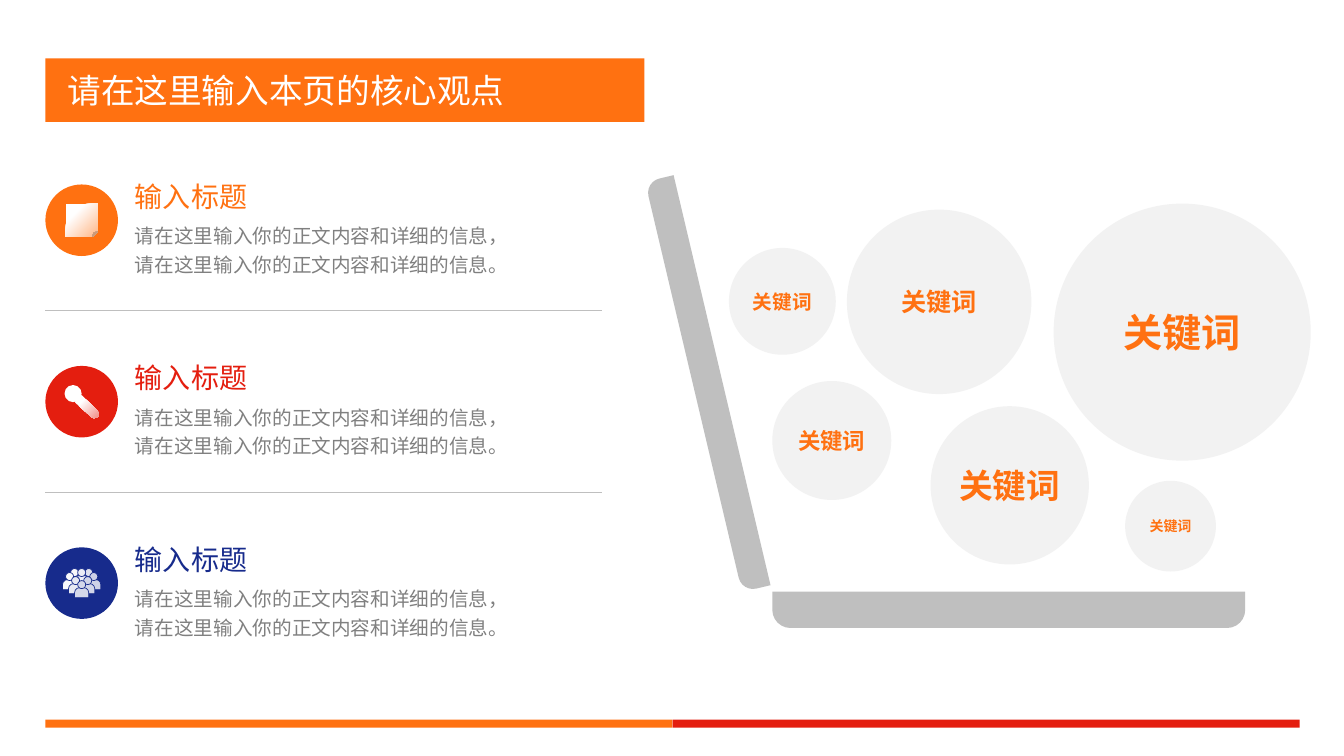
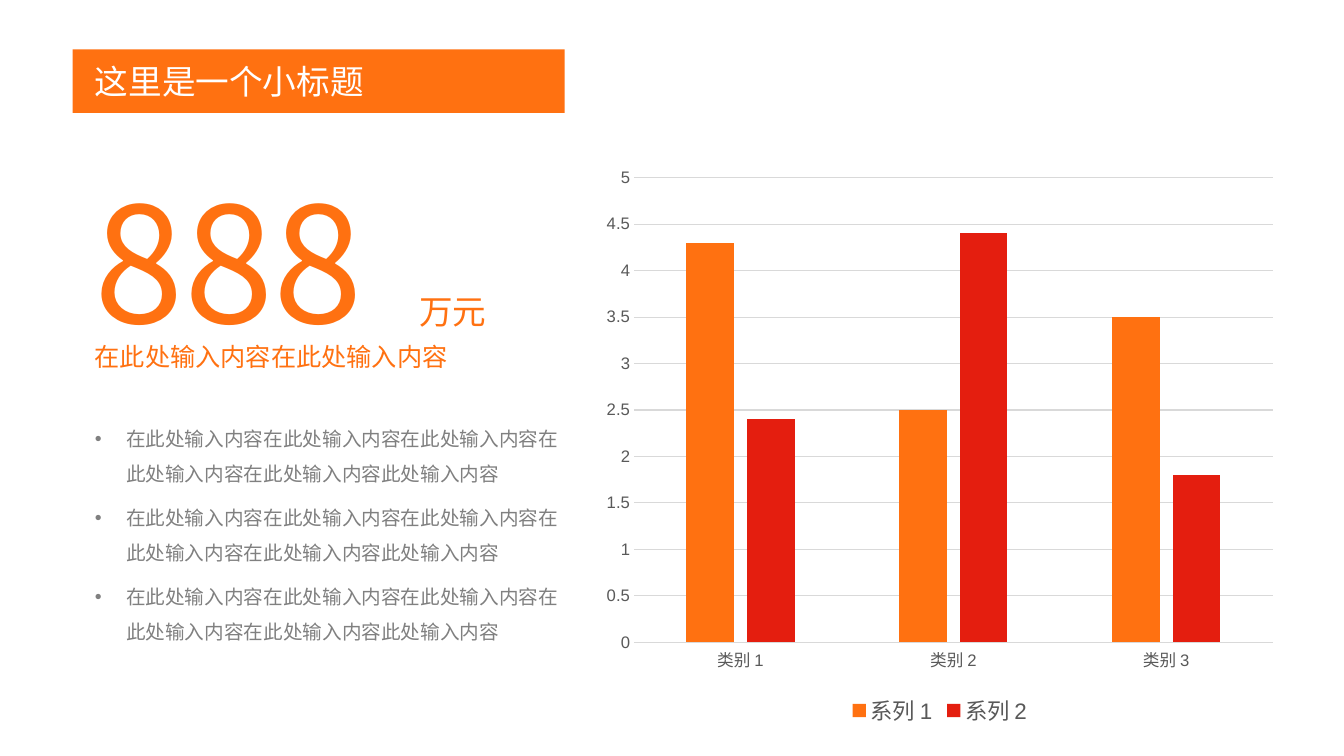
"""Build a keyword slide with three points and a figures slide with a column chart."""
from lxml.etree import SubElement
from pptx import Presentation
from pptx.chart.data import CategoryChartData
from pptx.dml.color import RGBColor
from pptx.enum.chart import XL_CHART_TYPE, XL_LEGEND_POSITION, XL_TICK_MARK
from pptx.enum.shapes import MSO_CONNECTOR, MSO_SHAPE
from pptx.enum.text import MSO_ANCHOR, MSO_AUTO_SIZE, PP_ALIGN
from pptx.oxml.ns import qn
from pptx.util import Inches, Pt

FONT = "Noto Sans CJK JP"
CHART_FONT = "Arial"
ORANGE = RGBColor(0xFF, 0x71, 0x11)
RED = RGBColor(0xE4, 0x1E, 0x0F)
NAVY = RGBColor(0x17, 0x2B, 0x8C)
WHITE = RGBColor(0xFF, 0xFF, 0xFF)
PALE = RGBColor(0xF2, 0xF2, 0xF2)
SILVER = RGBColor(0xBF, 0xBF, 0xBF)
GRID = RGBColor(0xD9, 0xD9, 0xD9)
GREY = RGBColor(0x80, 0x80, 0x80)
AXIS_TEXT = RGBColor(0x59, 0x59, 0x59)

LEFT = 0.45
ROW_TOP, ROW_PITCH = 1.73, 1.8
BAND_HEIGHT, BAND_INSET = 0.63, 0.22

POINT_HEADING = "输入标题"
POINT_TEXT = "请在这里输入你的正文内容和详细的信息，请在这里输入你的正文内容和详细的信息。"
KEYWORD = "关键词"
BUBBLES = [
    (7.66, 3.78, 1.18, 16),
    (9.23, 4.03, 1.57, 24),
    (8.4, 2.08, 1.83, 18),
    (10.45, 2.02, 2.55, 28),
    (11.16, 4.77, 0.9, 10),
    (7.23, 2.46, 1.06, 14),
]
HANDLE = [(0.29, 0.36), (0.36, 0.29), (0.52, 0.45), (0.53, 0.48), (0.52, 0.51), (0.48, 0.52), (0.46, 0.51)]
HEADS = [
    (0.29, 0.25), (0.43, 0.25), (0.36, 0.25),
    (0.24, 0.29), (0.48, 0.29),
    (0.3, 0.33), (0.42, 0.33), (0.36, 0.37),
]

BULLETS = ["在此处输入内容在此处输入内容在此处输入内容在此处输入内容在此处输入内容此处输入内容"] * 3
FIGURES = [
    ("888", 0.84, 1.56, 3.81, 2.04, 115),
    ("在此处输入内容在此处输入内容", 0.84, 3.34, 4.88, 0.4, 18),
    ("万元", 4.06, 2.84, 1.65, 0.5, 24),
]
CATEGORIES = ["类别 1", "类别 2", "类别 3"]
SERIES = [
    ("系列 1", (4.3, 2.5, 3.5), ORANGE),
    ("系列 2", (2.4, 4.4, 1.8), RED),
]


def style(para, size, color, bold=False):
    """Set the font of a whole paragraph, for Latin and East Asian text."""
    font = para.font
    font.name, font.size, font.bold = FONT, Pt(size), bold
    font.color.rgb = color
    SubElement(font._element, qn("a:ea")).set("typeface", FONT)


def place(item, left, top, width, height):
    """Move and size a placeholder."""
    item.left, item.top = Inches(left), Inches(top)
    item.width, item.height = Inches(width), Inches(height)


def add_block(page, kind, left, top, width, height, color):
    """Add a plain filled shape."""
    block = page.shapes.add_shape(kind, Inches(left), Inches(top), Inches(width), Inches(height))
    block.shadow.inherit = False
    block.fill.solid()
    block.fill.fore_color.rgb = color
    block.line.fill.background()
    return block


def add_text(page, text, left, top, width, height, size, color, spacing=None):
    """Add a text box with one paragraph."""
    box = page.shapes.add_textbox(Inches(left), Inches(top), Inches(width), Inches(height))
    box.text_frame.word_wrap = True
    para = box.text_frame.paragraphs[0]
    para.text = text
    if spacing:
        para.line_spacing = spacing
    style(para, size, color)


def set_title(page, text, left, top, width):
    """Turn the title placeholder into the orange title band."""
    title = page.shapes.title
    place(title, left, top, width, BAND_HEIGHT)
    title.fill.solid()
    title.fill.fore_color.rgb = ORANGE
    frame = title.text_frame
    frame.text = text
    frame.auto_size = MSO_AUTO_SIZE.NONE
    frame.vertical_anchor = MSO_ANCHOR.MIDDLE
    frame.margin_left = Inches(BAND_INSET)
    para = frame.paragraphs[0]
    para.alignment = PP_ALIGN.LEFT
    style(para, 24, WHITE)


def tint(color, share):
    """Mix a share of the colour into white."""
    return RGBColor(*(round(255 + (part - 255) * share) for part in color))


def shade(shape, color):
    """Fade a shape from white towards the colour, down to the right."""
    shape.fill.gradient()
    shape.fill.gradient_angle = 315
    start, end = shape.fill.gradient_stops
    start.position, start.color.rgb = 0.3, WHITE
    end.position, end.color.rgb = 1, tint(color, 0.5)


def draw_document(page, left, top, color):
    """Draw a plain sheet."""
    shade(add_block(page, MSO_SHAPE.FOLDED_CORNER, left + 0.2, top + 0.19, 0.32, 0.33, WHITE), color)


def draw_microphone(page, left, top, color):
    """Draw a microphone as a round head and a slanted handle."""
    points = [(Inches(left + x), Inches(top + y)) for x, y in HANDLE]
    builder = page.shapes.build_freeform(*points[0])
    builder.add_line_segments(points[1:])
    handle = builder.convert_to_shape()
    handle.shadow.inherit = False
    handle.line.fill.background()
    shade(handle, color)
    add_block(page, MSO_SHAPE.OVAL, left + 0.19, top + 0.19, 0.17, 0.17, WHITE)


def draw_crowd(page, left, top, color):
    """Draw a group of people, back row first."""
    for x, y in HEADS:
        parts = [
            (MSO_SHAPE.ROUND_2_SAME_RECTANGLE, x - 0.07, y + 0.03, 0.14, 0.1),
            (MSO_SHAPE.OVAL, x - 0.04, y - 0.04, 0.08, 0.08),
        ]
        for kind, dx, dy, width, height in parts:
            part = add_block(page, kind, left + dx, top + dy, width, height, tint(color, max(0, x + y - 0.5) * 0.8))
            part.line.color.rgb = color
            part.line.width = Pt(0.5)
            if kind == MSO_SHAPE.ROUND_2_SAME_RECTANGLE:
                part.adjustments[0] = 0.5


POINTS = [(ORANGE, draw_document), (RED, draw_microphone), (NAVY, draw_crowd)]


def add_points(page):
    """Add the rows of icon, heading and text with rules between them."""
    for index, (color, draw_icon) in enumerate(POINTS):
        top = ROW_TOP + index * ROW_PITCH
        add_block(page, MSO_SHAPE.OVAL, LEFT, top + 0.1, 0.72, 0.71, color)
        draw_icon(page, LEFT, top + 0.1, color)
        add_text(page, POINT_HEADING, 1.24, top, 1.4, 0.44, 20, color)
        add_text(page, POINT_TEXT, 1.24, top + 0.4, 4.02, 0.66, 14, GREY, 1.2)
        if index:
            y = Inches(top - 0.45)
            rule = page.shapes.add_connector(MSO_CONNECTOR.STRAIGHT, Inches(LEFT), y, Inches(5.97), y)
            rule.line.color.rgb = SILVER
            rule.line.width = Pt(0.25)
            SubElement(rule._element.spPr, qn("a:effectLst"))


def add_laptop(page):
    """Add the open laptop and the keyword bubbles over it."""
    for left, top, width, height, turn in [(7.66, 5.87, 4.69, 0.36, 180), (4.93, 3.66, 4.18, 0.29, 256.7)]:
        panel = add_block(page, MSO_SHAPE.ROUND_2_SAME_RECTANGLE, left, top, width, height, SILVER)
        panel.adjustments[0] = 0.5
        panel.rotation = turn
    for left, top, size, points in BUBBLES:
        bubble = add_block(page, MSO_SHAPE.OVAL, left, top, size, size, PALE)
        frame = bubble.text_frame
        frame.margin_left = frame.margin_right = frame.margin_top = frame.margin_bottom = 0
        frame.vertical_anchor = MSO_ANCHOR.MIDDLE
        para = frame.paragraphs[0]
        para.text = KEYWORD
        para.alignment = PP_ALIGN.CENTER
        style(para, points, ORANGE, bold=True)


def add_bullets(page):
    """Fill the body placeholder with the bullet list."""
    body = page.placeholders[1]
    place(body, 0.84, 4.07, 4.88, 2.36)
    frame = body.text_frame
    frame.text = "\n".join(BULLETS)
    frame.auto_size = MSO_AUTO_SIZE.NONE
    frame.vertical_anchor = MSO_ANCHOR.TOP
    for index, para in enumerate(frame.paragraphs):
        para.line_spacing = 1.5
        para.space_before = Pt(6 if index else 0)
        properties = para._p.get_or_add_pPr()
        properties.set("marL", str(Inches(0.31)))
        properties.set("indent", str(Inches(-0.31)))
        SubElement(properties, qn("a:buChar")).set("char", "•")
        style(para, 14, GREY)


def set_chart_font(font, size):
    """Set the font of a chart part."""
    font.name, font.size = CHART_FONT, Pt(size)
    font.color.rgb = AXIS_TEXT


def add_columns(page):
    """Add the clustered column chart."""
    data = CategoryChartData()
    data.categories = CATEGORIES
    for name, values, _ in SERIES:
        data.add_series(name, values)
    chart = page.shapes.add_chart(
        XL_CHART_TYPE.COLUMN_CLUSTERED, Inches(5.88), Inches(1.56), Inches(6.88), Inches(5.69), data
    ).chart
    chart.has_title = False
    set_chart_font(chart.font, 10)
    chart.has_legend = True
    chart.legend.position = XL_LEGEND_POSITION.BOTTOM
    chart.legend.include_in_layout = False
    set_chart_font(chart.legend.font, 16)
    plot = chart.plots[0]
    plot.gap_width, plot.overlap, plot.vary_by_categories = 219, -27, False
    for series, (_, _, color) in zip(plot.series, SERIES):
        series.format.fill.solid()
        series.format.fill.fore_color.rgb = color
    for axis in (chart.category_axis, chart.value_axis):
        axis.major_tick_mark = axis.minor_tick_mark = XL_TICK_MARK.NONE
        set_chart_font(axis.tick_labels.font, 11.9)
    chart.value_axis.format.line.fill.background()
    chart.value_axis.maximum_scale, chart.value_axis.minimum_scale = 5, 0
    chart.value_axis.major_unit = 0.5
    for line in (chart.category_axis.format.line, chart.value_axis.major_gridlines.format.line):
        line.color.rgb = GRID
        line.width = Pt(0.75)


def build_keywords(deck):
    """Build the slide of points and keywords."""
    page = deck.slides.add_slide(deck.slide_layouts[5])
    set_title(page, "请在这里输入本页的核心观点", LEFT, 0.58, 5.94)
    add_laptop(page)
    add_points(page)
    for index, color in enumerate((ORANGE, RED)):
        add_block(page, MSO_SHAPE.RECTANGLE, LEFT + index * 6.22, 7.14, 6.22, 0.08, color)


def build_figures(deck):
    """Build the slide of figures and columns."""
    page = deck.slides.add_slide(deck.slide_layouts[1])
    set_title(page, "这里是一个小标题", 0.72, 0.49, 4.88)
    add_bullets(page)
    for *figure, size in FIGURES:
        add_text(page, *figure, size, ORANGE)
    add_columns(page)


def main():
    """Build and save the deck."""
    deck = Presentation()
    deck.slide_width, deck.slide_height = Inches(13.33), Inches(7.5)
    build_keywords(deck)
    build_figures(deck)
    deck.save("out.pptx")


if __name__ == "__main__":
    main()
